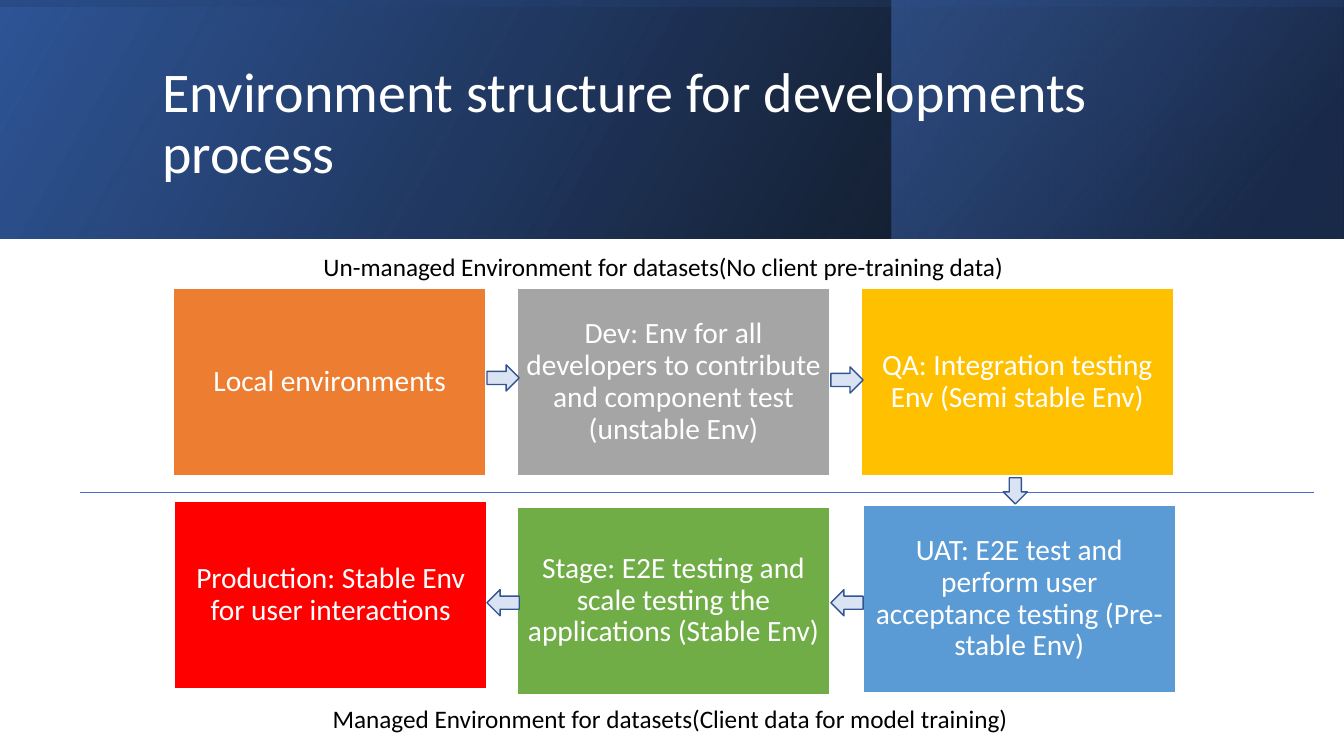
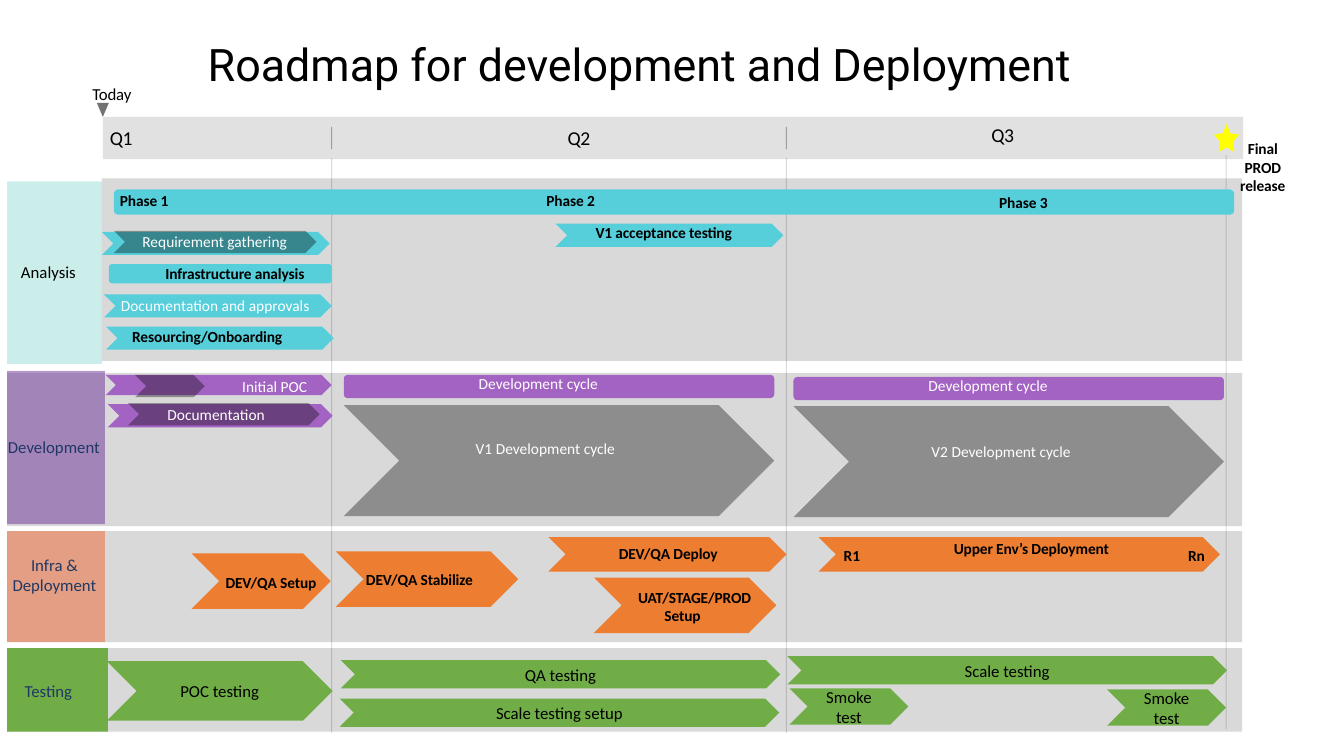
from lxml.etree import SubElement
from pptx import Presentation
from pptx.dml.color import RGBColor
from pptx.enum.shapes import MSO_CONNECTOR, MSO_SHAPE as SHAPE
from pptx.enum.text import MSO_ANCHOR as ANCHOR, PP_ALIGN as ALIGN
from pptx.oxml.ns import qn
from pptx.util import Inches, Pt

BLACK, WHITE, NAVY = "000000", "FFFFFF", "203864"
CYAN, PURPLE, ORANGE, GREEN = "56CFDB", "A363C3", "ED7D31", "70AD47"
LEFT, CENTER, RIGHT = ALIGN.LEFT, ALIGN.CENTER, ALIGN.RIGHT
hex_colour = RGBColor.from_string


def add_block(slide, kind, box, stops, angle=0, line=None):
    """Add a shape; stops are (position, colour, opacity), one for a solid fill."""
    shape = slide.shapes.add_shape(kind, *map(Inches, box))
    shape.shadow.inherit = False
    if len(stops) == 1:
        shape.fill.solid()
        shape.fill.fore_color.rgb = hex_colour(stops[0][1])
    else:
        shape.fill.gradient()
        shape.fill.gradient_angle = angle
        for gradient_stop, (position, colour, opacity) in zip(shape.fill.gradient_stops, stops):
            gradient_stop.position = position / 100
            gradient_stop.color.rgb = hex_colour(colour)
    colours = list(shape._element.spPr.iter(qn("a:srgbClr")))
    for element, (position, colour, opacity) in zip(colours, stops):
        if opacity < 100:
            SubElement(element, qn("a:alpha"), val=str(opacity * 1000))
    if line:
        shape.line.color.rgb = hex_colour(line)
        shape.line.width = Pt(1)
    else:
        shape.line.fill.background()
    return shape


def write(frame, text, size, colour=BLACK, align=CENTER, font="Calibri", bold=False,
          spacing=0, margin=None, line_spacing=None, wrap=True):
    """Fill a text frame, one paragraph for each line of the text."""
    frame.word_wrap = wrap
    frame.vertical_anchor = ANCHOR.MIDDLE
    if margin is not None:
        frame.margin_left = frame.margin_right = Inches(margin)
        frame.margin_top = frame.margin_bottom = Inches(margin)
    for index, line in enumerate(text.split("\n")):
        paragraph = frame.add_paragraph() if index else frame.paragraphs[0]
        paragraph.alignment = CENTER if index else align
        if line_spacing:
            paragraph.line_spacing = line_spacing
        run = paragraph.add_run()
        run.text = line
        run.font.size, run.font.name, run.font.bold = Pt(size), font, bold
        run.font.color.rgb = hex_colour(colour)
        if spacing:
            run._r.get_or_add_rPr().set("spc", str(round(spacing * 100)))


presentation = Presentation()
presentation.slide_width, presentation.slide_height = Inches(13.33), Inches(7.5)
blank = presentation.slide_layouts[6]
environments, roadmap = [presentation.slides.add_slide(blank) for _ in range(2)]

# Header band of the environment slide
for box, rotation, angle, stops in [
    ((0, 0, 13.33, 2.37), 0, 30, [(0, BLACK, 96), (100, "2F5597", 100)]),
    ((8.84, 0, 4.48, 2.37), 0, 40, [(19, NAVY, 68), (100, "4472C4", 48)]),
    ((5.48, -5.48, 2.37, 13.33), 270, 10, [(23, "2F5597", 16), (99, BLACK, 45)]),
]:
    band = add_block(environments, SHAPE.RECTANGLE, box, stops, angle)
    band.rotation = rotation
    band._element.spPr.find(qn("a:xfrm")).set("flipH", "1")

# Lanes of the roadmap
for left, top, width, height in [(1.01, 1.77, 11.31, 1.81), (0.07, 3.7, 12.25, 1.52),
                                 (0.07, 5.27, 12.25, 1.1), (0.07, 6.43, 12.25, 0.83)]:
    add_block(roadmap, SHAPE.RECTANGLE, (left, top, width, height), [(0, BLACK, 15)])
add_block(roadmap, SHAPE.RECTANGLE, (1.02, 1.16, 11.31, 0.42), [(0, "E1E1E1", 100)])
for box, colour, opacity in [
    ((0.07, 1.8, 0.94, 1.81), "9ADED8", 50),
    ((0.07, 3.68, 0.97, 1.52), "6F3198", 50),
    ((0.07, 5.27, 0.97, 1.1), "F0642F", 50),
    ((0.07, 6.43, 1, 0.83), GREEN, 100),
]:
    add_block(roadmap, SHAPE.RECTANGLE, box, [(0, colour, opacity)])

# Divider, quarter lines and release line
rules = [(environments, 0.79, 4.88, 13.03, 4.88, "4472C4", 0.5, 100),
         (roadmap, 12.16, 1.54, 12.16, 7.23, BLACK, 0.68, 15)]
for x in (3.29, 7.8):
    rules += [(roadmap, x, 1.57, x, 7.27, BLACK, 0.68, 15),
              (roadmap, x, 1.26, x, 1.48, BLACK, 0.75, 30)]
for slide, x1, y1, x2, y2, colour, width, opacity in rules:
    rule = slide.shapes.add_connector(MSO_CONNECTOR.STRAIGHT, *map(Inches, (x1, y1, x2, y2)))
    rule.line.color.rgb = hex_colour(colour)
    rule.line.width = Pt(width)
    properties = rule._element.spPr
    if opacity < 100:
        SubElement(next(properties.iter(qn("a:srgbClr"))), qn("a:alpha"), val=str(opacity * 1000))
    SubElement(properties, qn("a:effectLst"))

# Environment boxes and the arrows between them
for left, top, colour, text in [
    (1.72, 2.86, ORANGE, "Local environments"),
    (5.13, 2.86, "A5A5A5",
     "Dev: Env for all developers to contribute and component test (unstable Env)"),
    (8.54, 2.86, "FFC000", "QA: Integration testing Env (Semi stable Env)"),
    (8.56, 5.01, "5B9BD5", "UAT: E2E test and perform user acceptance testing (Pre-stable Env)"),
    (5.13, 5.03, GREEN, "Stage: E2E testing and scale testing the applications (Stable Env)"),
    (1.73, 4.97, "FF0000", "Production: Stable Env for user interactions"),
]:
    stage = add_block(environments, SHAPE.RECTANGLE, (left, top, 3.1, 1.86),
                      [(0, colour, 100)], line=WHITE)
    write(stage.text_frame, text, 21, WHITE, margin=0.09, line_spacing=0.9)
for kind, left, top, width in [
    (SHAPE.RIGHT_ARROW, 4.83, 3.62, 0.32), (SHAPE.RIGHT_ARROW, 8.24, 3.64, 0.32),
    (SHAPE.DOWN_ARROW, 9.95, 4.74, 0.24),
    (SHAPE.LEFT_ARROW, 8.24, 5.85, 0.32), (SHAPE.LEFT_ARROW, 4.83, 5.85, 0.32),
]:
    add_block(environments, kind, (left, top, width, 0.26), [(0, "DAE3F3", 100)], line="325491")

# Titles and captions
for slide, text, box, size, options in [
    (environments, "Environment structure for developments process", (1.51, 0.38, 10.63, 1.72),
     40, dict(colour=WHITE, align=LEFT, line_spacing=0.9)),
    (environments, "Un-managed Environment for datasets(No client pre-training data)",
     (3.11, 2.44, 7.88, 0.4), 18, dict(align=LEFT)),
    (environments, "Managed Environment for datasets(Client data for model training)",
     (3.2, 6.93, 7.88, 0.4), 18, dict(align=LEFT)),
    (roadmap, "Roadmap for development and Deployment", (0.91, 0.31, 10.87, 0.64),
     32, dict(font="Roboto")),
]:
    write(slide.shapes.add_textbox(*map(Inches, box)).text_frame, text, size, **options)

# Roadmap bars, the shaded ones on top
for kind, colour, opacity, boxes in [
    (SHAPE.ROUNDED_RECTANGLE, CYAN, 100, [(1.13, 1.88, 11.11, 0.25), (1.08, 2.62, 2.21, 0.19)]),
    (SHAPE.CHEVRON, CYAN, 100, [(1.01, 2.3, 2.26, 0.23), (1.03, 2.92, 2.26, 0.23),
                                (1.05, 3.24, 2.26, 0.23), (5.51, 2.22, 2.26, 0.23)]),
    (SHAPE.ROUNDED_RECTANGLE, PURPLE, 100, [(3.41, 3.72, 4.27, 0.23), (7.87, 3.74, 4.27, 0.23)]),
    (SHAPE.CHEVRON, PURPLE, 100, [(1.05, 3.72, 2.24, 0.2), (1.07, 4.01, 2.23, 0.23)]),
    (SHAPE.CHEVRON, ORANGE, 100, [(1.9, 5.49, 1.38, 0.55), (3.33, 5.47, 1.81, 0.55),
                                  (5.89, 5.73, 1.81, 0.55), (5.44, 5.33, 2.36, 0.34),
                                  (8.12, 5.33, 3.98, 0.34)]),
    (SHAPE.CHEVRON, BLACK, 35, [(1.13, 2.29, 2.01, 0.22), (1.34, 3.72, 0.69, 0.22),
                                (1.27, 4, 1.9, 0.22), (3.41, 4.02, 4.27, 1.1),
                                (7.87, 4.03, 4.27, 1.1)]),
]:
    for box in boxes:
        add_block(roadmap, kind, box, [(0, colour, opacity)])

# Testing bars
for text, box in [
    ("POC testing", (1.06, 6.56, 2.24, 0.59)),
    ("QA testing", (3.38, 6.55, 4.36, 0.28)),
    ("Scale testing setup", (3.37, 6.93, 4.36, 0.28)),
    ("Scale testing", (7.81, 6.51, 4.36, 0.28)),
    ("Smoke test", (7.83, 6.83, 1.18, 0.36)),
    ("Smoke test", (10.98, 6.84, 1.18, 0.36)),
]:
    write(add_block(roadmap, SHAPE.CHEVRON, box, [(0, GREEN, 100)]).text_frame, text, 12)

# Markers for today and the release
today = add_block(roadmap, SHAPE.ISOSCELES_TRIANGLE, (0.96, 1.02, 0.12, 0.14),
                  [(0, "737373", 100)])
today.rotation = 180
star = add_block(roadmap, SHAPE.STAR_5_POINT, (12.04, 1.23, 0.25, 0.28), [(0, "FFFF00", 100)])
star.adjustments[0] = 0.25

# Roadmap labels, grouped by style
lane_style = dict(size=12, colour=NAVY)
bar_style = dict(size=11, colour=WHITE)
bold_style = dict(size=11, bold=True, spacing=-0.1)
right_style = dict(bold_style, align=RIGHT)
quarter_style = dict(size=14, spacing=-0.3, wrap=False)
for style, labels in [
    (dict(size=12), [("Analysis", 0.07, 2.6, 0.82, 0.2)]),
    (lane_style, [("Development", 0.07, 4.34, 0.93, 0.19),
                  ("Infra & Deployment", 0.05, 5.45, 0.98, 0.5),
                  ("Testing", 0.07, 6.75, 0.82, 0.2)]),
    (dict(size=12, spacing=-0.1, wrap=False), [("Today", 0.91, 0.83, 0.4, 0.2)]),
    (dict(quarter_style, align=LEFT), [("Q1", 1.09, 1.26, 0.23, 0.22),
                                       ("Q2", 5.63, 1.26, 0.38, 0.22)]),
    (quarter_style, [("Q3", 9.83, 1.23, 0.23, 0.22)]),
    (bar_style, [("Requirement gathering", 1.32, 2.3, 1.62, 0.19),
                 ("Documentation and approvals", 1.09, 2.93, 2.09, 0.19),
                 ("Initial POC", 2.26, 3.74, 0.93, 0.19),
                 ("Documentation", 1.66, 4.02, 0.97, 0.19),
                 ("Development cycle", 4.26, 3.71, 2.16, 0.19),
                 ("Development cycle", 8.72, 3.73, 2.16, 0.19),
                 ("V1 Development cycle", 4.33, 4.35, 2.16, 0.19),
                 ("V2 Development cycle", 8.85, 4.38, 2.16, 0.19)]),
    (bold_style, [("Phase 1", 1.18, 1.89, 0.5, 0.19),
                  ("Phase 2", 5.41, 1.89, 0.5, 0.19),
                  ("Phase 3", 9.9, 1.91, 0.5, 0.19),
                  ("Final PROD release", 12.23, 1.38, 0.59, 0.56)]),
    (right_style, [("Infrastructure analysis", 1.28, 2.62, 1.74, 0.19),
                   ("Resourcing/Onboarding", 1.06, 3.24, 1.74, 0.19),
                   ("V1 acceptance testing", 5.52, 2.21, 1.74, 0.19),
                   ("DEV/QA Setup", 1.98, 5.68, 1.16, 0.19),
                   ("DEV/QA Stabilize", 3.53, 5.65, 1.16, 0.19),
                   ("UAT/STAGE/PROD\nSetup", 6.09, 5.83, 1.36, 0.37),
                   ("DEV/QA Deploy", 5.96, 5.39, 1.16, 0.19),
                   ("Upper Env’s Deployment", 7.51, 5.34, 3.49, 0.19),
                   ("R1", 8.14, 5.41, 0.39, 0.19),
                   ("Rn", 11.56, 5.41, 0.39, 0.19)]),
]:
    for text, *box in labels:
        write(roadmap.shapes.add_textbox(*map(Inches, box)).text_frame, text, margin=0, **style)

presentation.save("out.pptx")
